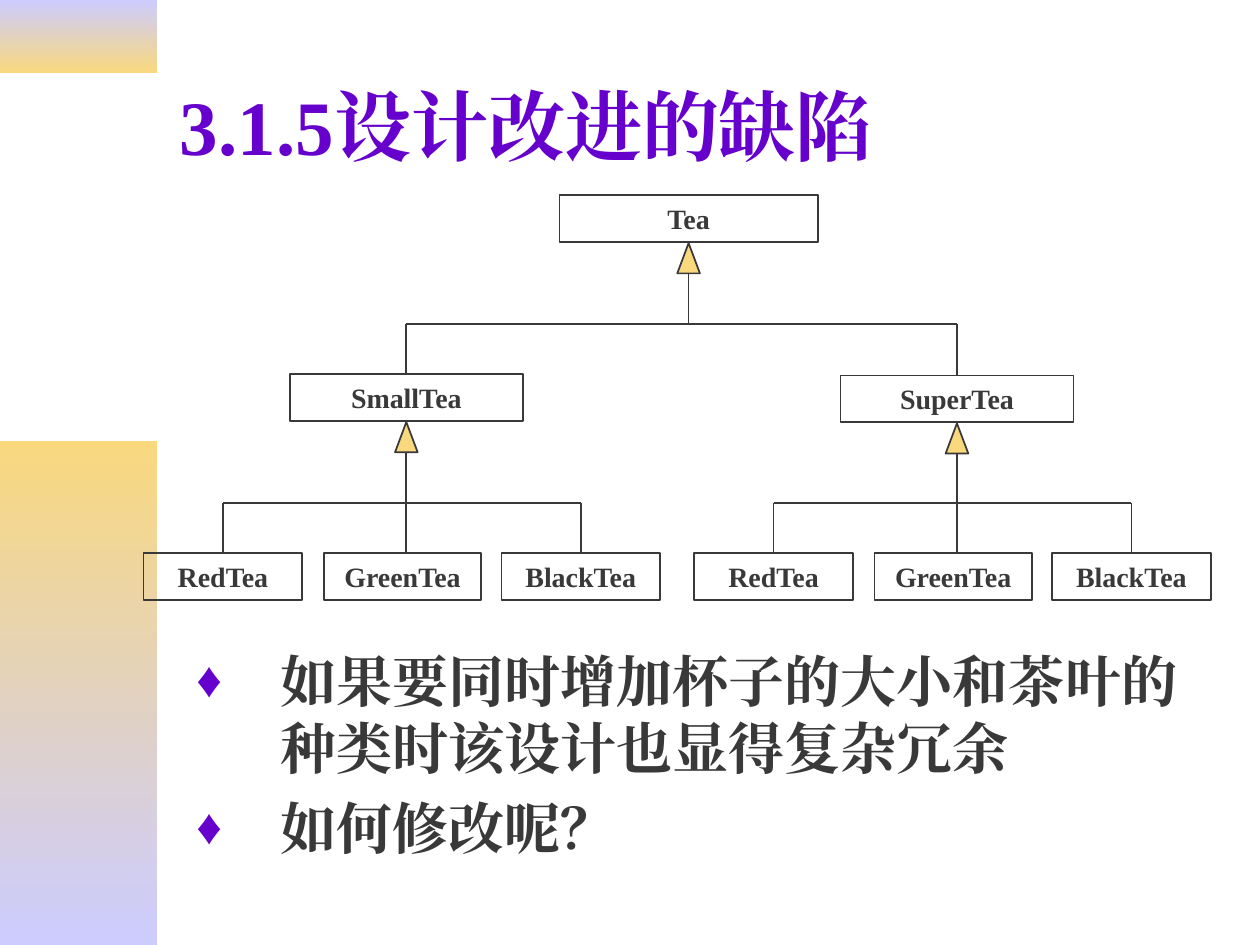
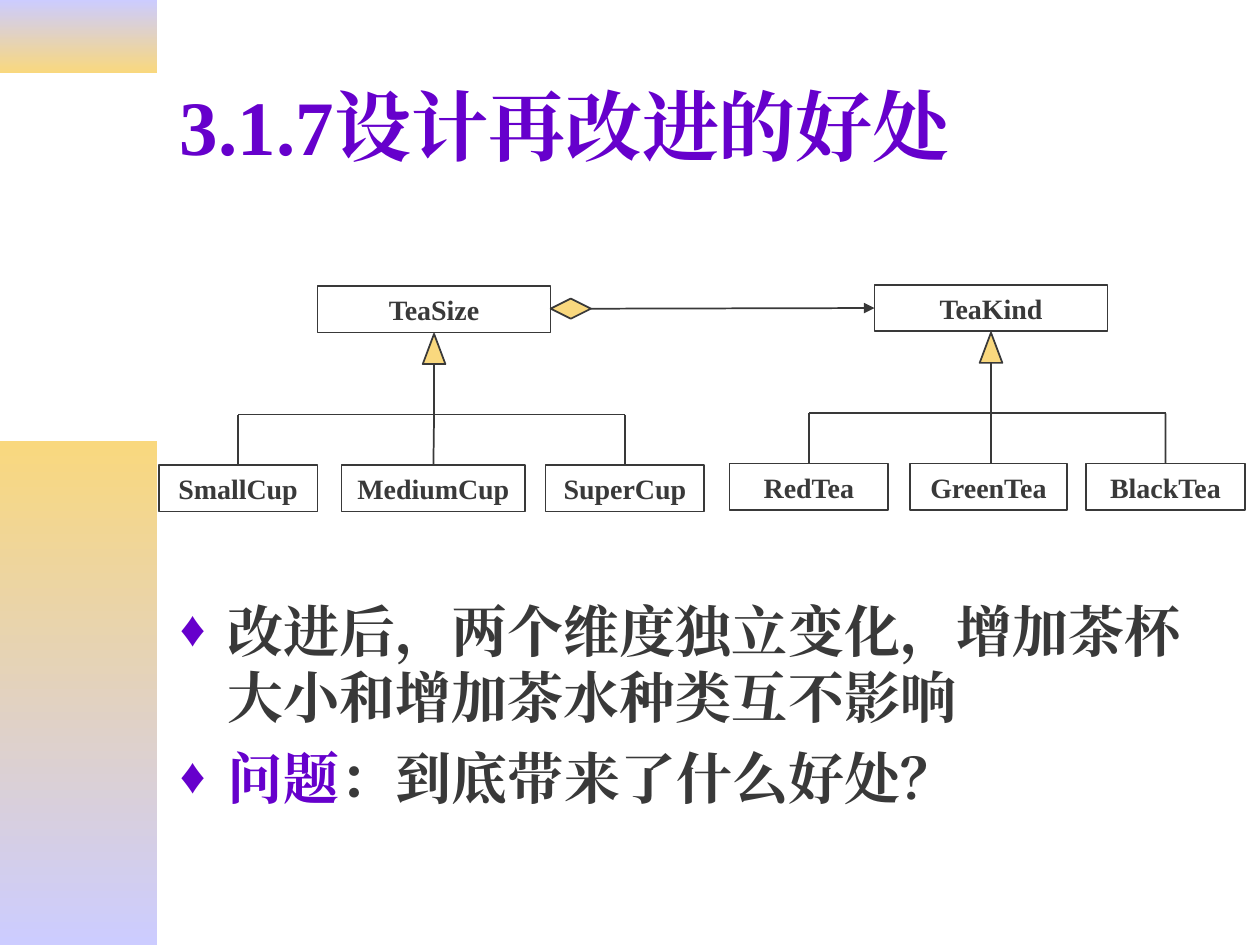
from lxml import etree
from pptx import Presentation
from pptx import util as u
from pptx.dml.color import RGBColor
from pptx.enum import shapes, text
from pptx.oxml import parse_xml
from pptx.oxml.ns import nsdecls, qn

COLORS = {"title": "6600CC", "ink": "393939", "gold": "F9D87E", "lilac": "CCCCFF"}
FONT = "Times New Roman"
BOX_HEIGHT = 0.37
BANDS = [(0, 0.58, ("lilac", "gold")), (3.5, 4, ("gold", "lilac"))]
SLIDES = [
    {
        "title": "3.1.5设计改进的缺陷",
        "body": (1.46, 5.09, 8.03, 1.81),
        "indent": 0.67,
        "bullets": [
            [("如果要同时增加杯子的大小和茶叶的种类时该设计也显得复杂冗余", "ink")],
            [("如何修改呢？", "ink")],
        ],
        "classes": [
            ("Tea", 4.44, 1.55, 2.05),
            ("SmallTea", 2.3, 2.97, 1.85),
            ("SuperTea", 6.67, 2.98, 1.85),
            ("RedTea", 1.14, 4.39, 1.26),
            ("GreenTea", 2.57, 4.39, 1.25),
            ("BlackTea", 3.98, 4.39, 1.26),
            ("RedTea", 5.51, 4.39, 1.26),
            ("GreenTea", 6.94, 4.39, 1.25),
            ("BlackTea", 8.35, 4.39, 1.26),
        ],
        "trees": [(0, (1, 2)), (1, (3, 4, 5)), (2, (6, 7, 8))],
        "aggregation": None,
    },
    {
        "title": "3.1.7设计再改进的好处",
        "body": (1.33, 4.69, 8.5, 1.97),
        "indent": 0.38,
        "bullets": [
            [("改进后，两个维度独立变化，增加茶杯大小和增加茶水种类互不影响", "ink")],
            [("问题", "title"), ("：到底带来了什么好处？", "ink")],
        ],
        "classes": [
            ("TeaSize", 2.52, 2.27, 1.85),
            ("TeaKind", 6.94, 2.26, 1.85),
            ("SmallCup", 1.26, 3.69, 1.26),
            ("MediumCup", 2.71, 3.69, 1.46),
            ("SuperCup", 4.33, 3.69, 1.26),
            ("RedTea", 5.79, 3.68, 1.26),
            ("GreenTea", 7.22, 3.68, 1.25),
            ("BlackTea", 8.62, 3.68, 1.26),
        ],
        "trees": [(0, (2, 3, 4)), (1, (5, 6, 7))],
        "aggregation": (0, 1),
    },
]


def add_span(para, words, size, color):
    span = para.add_run()
    span.text = words
    for name, value in {"name": FONT, "size": u.Pt(size), "bold": True}.items():
        setattr(span.font, name, value)
    span.font.color.rgb = RGBColor.from_string(COLORS[color])
    etree.SubElement(span.font._element, qn("a:ea")).set("typeface", FONT)


def add_line(page, x1, y1, x2, y2):
    line = page.shapes.add_connector(
        shapes.MSO_CONNECTOR.STRAIGHT, *map(u.Inches, (x1, y1, x2, y2)))
    line.line.color.rgb = RGBColor.from_string(COLORS["ink"])
    line.line.width = u.Pt(1)
    etree.SubElement(line._element.spPr, qn("a:effectLst"))
    return line


deck = Presentation()
deck.slide_width, deck.slide_height = u.Inches(10), u.Inches(7.5)

for content in SLIDES:
    page = deck.slides.add_slide(deck.slide_layouts[6])

    for top, height, stops in BANDS:
        band = page.shapes.add_shape(
            shapes.MSO_SHAPE.RECTANGLE, *map(u.Inches, (0, top, 1.25, height)))
        band.shadow.inherit = False
        band.line.fill.background()
        band.fill.gradient()
        band.fill.gradient_angle = 270
        for stop, color in zip(band.fill.gradient_stops, stops):
            stop.color.rgb = RGBColor.from_string(COLORS[color])

    title = page.shapes.add_textbox(*map(u.Inches, (1.33, 0.33, 8.5, 1.32)))
    title.text_frame.word_wrap = True
    title.text_frame.vertical_anchor = text.MSO_ANCHOR.MIDDLE
    add_span(title.text_frame.paragraphs[0], content["title"], 44, "title")

    body = page.shapes.add_textbox(*map(u.Inches, content["body"]))
    body.text_frame.word_wrap = True
    for number, spans in enumerate(content["bullets"]):
        para = body.text_frame.add_paragraph() if number else body.text_frame.paragraphs[0]
        para.line_spacing = u.Pt(38)
        para.space_before = u.Pt(8 if number else 0)
        properties = para._p.get_or_add_pPr()
        properties.set("marL", str(u.Inches(content["indent"])))
        properties.set("indent", str(-u.Inches(content["indent"])))
        for bullet in (
            f'<a:buClr {nsdecls("a")}><a:srgbClr val="{COLORS["title"]}"/></a:buClr>',
            f'<a:buSzPct {nsdecls("a")} val="90000"/>',
            f'<a:buFont {nsdecls("a")} typeface="{FONT}"/>',
            f'<a:buChar {nsdecls("a")} char="♦"/>',
        ):
            properties.append(parse_xml(bullet))
        for words, color in spans:
            add_span(para, words, 32, color)

    boxes = []
    for name, left, top, width in content["classes"]:
        box = page.shapes.add_shape(
            shapes.MSO_SHAPE.RECTANGLE, *map(u.Inches, (left, top, width, BOX_HEIGHT)))
        box.shadow.inherit = False
        box.fill.background()
        box.line.color.rgb = RGBColor.from_string(COLORS["ink"])
        box.line.width = u.Pt(1)
        box.text_frame.word_wrap = True
        box.text_frame.vertical_anchor = text.MSO_ANCHOR.MIDDLE
        para = box.text_frame.paragraphs[0]
        para.alignment = text.PP_ALIGN.CENTER
        add_span(para, name, 16, "ink")
        boxes.append(box)

    centers = [left + width / 2 for _, left, _, width in content["classes"]]
    tops = [top for _, _, top, _ in content["classes"]]
    symbols = []
    for parent, children in content["trees"]:
        axis = centers[parent]
        tip = tops[parent] + BOX_HEIGHT + 0.01
        bus = tops[children[0]] - 0.4
        symbols.append((shapes.MSO_SHAPE.ISOSCELES_TRIANGLE, axis - 0.09, tip, 0.18, 0.24))
        add_line(page, axis, tip + 0.24, axis, bus)
        add_line(page, centers[children[0]], bus, centers[children[-1]], bus)
        for child in children:
            x = axis if abs(axis - centers[child]) < 0.05 else centers[child]
            drop = add_line(page, x, bus, x, tops[child])
            if abs(x - centers[child]) < 0.01:
                drop.end_connect(boxes[child], 0)

    if content["aggregation"]:
        whole, part = content["aggregation"]
        _, left, top, width = content["classes"][whole]
        symbols.append((shapes.MSO_SHAPE.DIAMOND, left + width, top + 0.1, 0.32, 0.16))

    for kind, *place in symbols:
        symbol = page.shapes.add_shape(kind, *map(u.Inches, place))
        symbol.shadow.inherit = False
        symbol.fill.solid()
        symbol.fill.fore_color.rgb = RGBColor.from_string(COLORS["gold"])
        symbol.line.color.rgb = RGBColor.from_string(COLORS["ink"])
        symbol.line.width = u.Pt(1)

    if content["aggregation"]:
        arrow = add_line(page, 4.69, 2.45, 6.94, 2.45)
        arrow.begin_connect(symbol, 3)
        arrow.end_connect(boxes[part], 1)
        etree.SubElement(arrow.line._get_or_add_ln(), qn("a:tailEnd")).set("type", "triangle")

deck.save("out.pptx")
